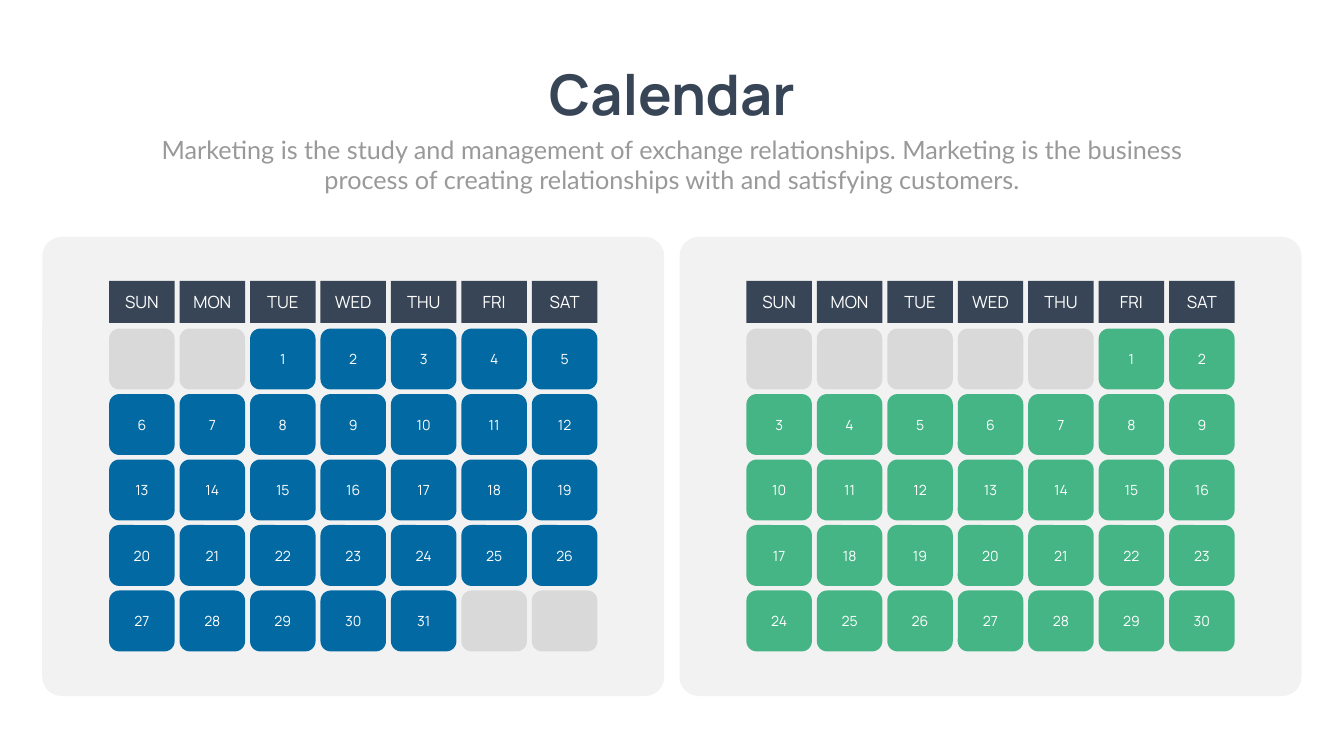
import pptx
import pptx.util
import pptx.dml.color
import pptx.enum.shapes
import pptx.enum.text

Cm, Pt = pptx.util.Cm, pptx.util.Pt
SHAPE = pptx.enum.shapes.MSO_SHAPE
ANCHOR = pptx.enum.text.MSO_ANCHOR

COLORS = {
    "background": "FEFFFE",
    "navy": "374556",
    "subtitle": "999999",
    "card": "F2F2F2",
    "empty": "D9D9D9",
    "blue": "0369A2",
    "green": "46B586",
    "white": "FFFFFF",
}
WEEKDAYS = ["SUN", "MON", "TUE", "WED", "THU", "FRI", "SAT"]
WEEKS = 5

# Calendar measures in cm
DAY_W, DAY_H = 3.3, 3.07
COLUMN_STEP, WEEK_STEP = 3.55, 3.3
WEEKDAY_TOP, WEEKDAY_H = 2.21, 2.13
DAYS_TOP = 4.62


def rgb(color):
    return pptx.dml.color.RGBColor.from_string(COLORS[color])


def format_text(frame, size, font_name, color, bold=False):
    paragraph = frame.paragraphs[0]
    paragraph.alignment = pptx.enum.text.PP_ALIGN.CENTER
    paragraph.space_before = Pt(0)
    for run in paragraph.runs:
        run.font.size = Pt(size)
        run.font.name = font_name
        run.font.bold = bold
        run.font.color.rgb = rgb(color)


def add_block(slide, kind, box, fill, label="", size=20):
    block = slide.shapes.add_shape(kind, *(Cm(length) for length in box))
    block.shadow.inherit = False
    block.fill.solid()
    block.fill.fore_color.rgb = rgb(fill)
    block.line.fill.background()
    if label:
        block.text_frame.text = label
        block.text_frame.vertical_anchor = ANCHOR.MIDDLE
        format_text(block.text_frame, size, "Manrope", "white")
    return block


def place_heading(placeholder, box, text, anchor, wrap):
    placeholder.left, placeholder.top, placeholder.width, placeholder.height = (
        Cm(length) for length in box)
    frame = placeholder.text_frame
    frame.text = text
    frame.auto_size = pptx.enum.text.MSO_AUTO_SIZE.NONE
    frame.vertical_anchor = anchor
    frame.word_wrap = wrap
    return frame


def add_header(slide, left, top, width):
    title_w = 14.22
    title = place_heading(
        slide.shapes.title,
        (left + (width - title_w) / 2, top, title_w, 3.68),
        "Calendar", ANCHOR.MIDDLE, False)
    format_text(title, 80, "Manrope", "navy", bold=True)

    subtitle = place_heading(
        slide.placeholders[1], (left, top + 3.79, width, 3.33),
        "Marketing is the study and management of exchange relationships. "
        "Marketing is the business process of creating relationships with "
        "and satisfying customers.", ANCHOR.TOP, True)
    format_text(subtitle, 36, "Lato", "subtitle")


def add_month(slide, left, top, width, height, first_column, day_count, color):
    # Card behind the month
    card = add_block(slide, SHAPE.ROUNDED_RECTANGLE,
                     (left, top, width, height), "card")
    card.adjustments[0] = 0.042

    grid_w = COLUMN_STEP * (len(WEEKDAYS) - 1) + DAY_W
    grid_left = left + (width - grid_w) / 2

    # Days, with empty cells before the first and after the last
    for cell in range(WEEKS * len(WEEKDAYS)):
        week, column = divmod(cell, len(WEEKDAYS))
        day = cell - first_column + 1
        in_month = 1 <= day <= day_count
        add_block(slide, SHAPE.ROUNDED_RECTANGLE,
                  (grid_left + column * COLUMN_STEP,
                   top + DAYS_TOP + week * WEEK_STEP, DAY_W, DAY_H),
                  color if in_month else "empty",
                  str(day) if in_month else "")

    # Weekday row
    for column, weekday in enumerate(WEEKDAYS):
        add_block(slide, SHAPE.RECTANGLE,
                  (grid_left + column * COLUMN_STEP, top + WEEKDAY_TOP,
                   DAY_W, WEEKDAY_H), "navy", weekday, 24)


def main():
    deck = pptx.Presentation()
    deck.slide_width, deck.slide_height = Cm(67.72), Cm(38.1)
    slide = deck.slides.add_slide(deck.slide_layouts[0])
    slide.background.fill.solid()
    slide.background.fill.fore_color.rgb = rgb("background")

    add_header(slide, 7.42, 2.84, 52.88)
    add_month(slide, 2.13, 11.94, 31.34, 23.14, 2, 31, "blue")
    add_month(slide, 34.24, 11.94, 31.34, 23.14, 5, 30, "green")
    deck.save("out.pptx")


if __name__ == "__main__":
    main()
